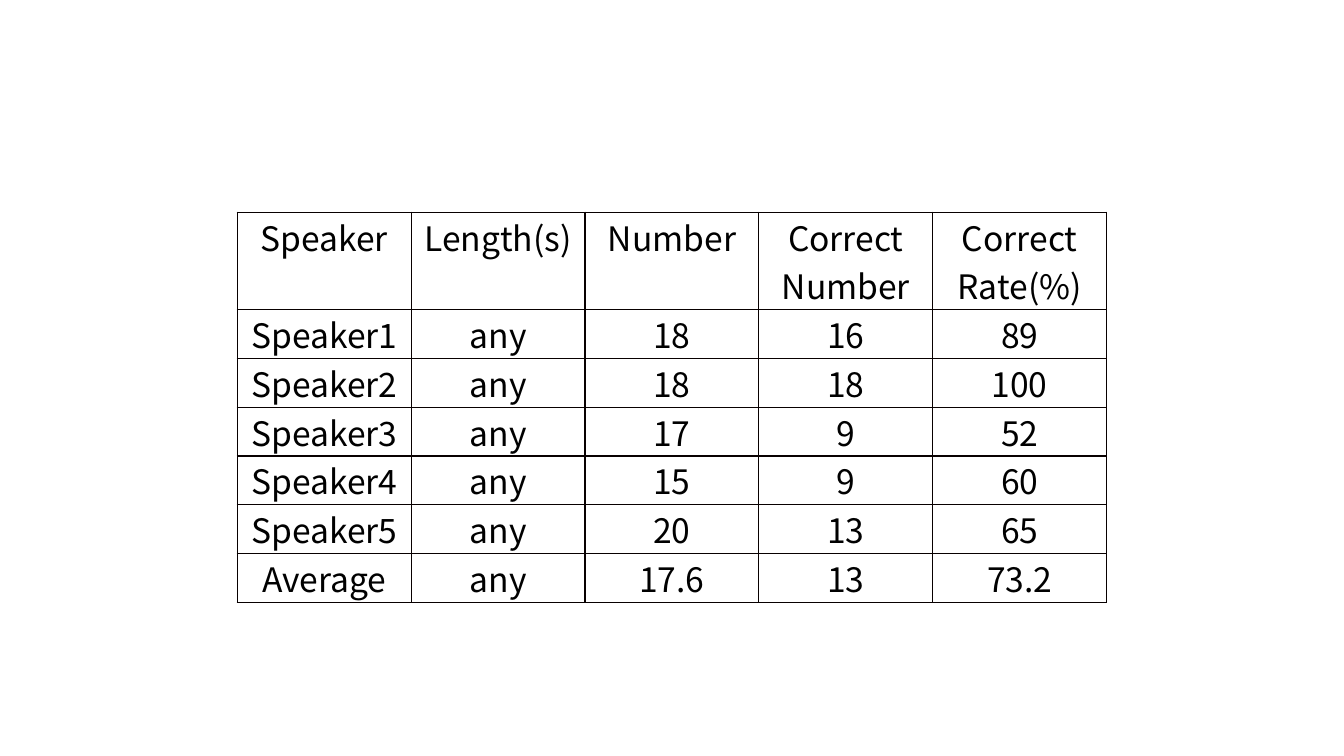
from lxml.etree import SubElement
from pptx import Presentation
from pptx.dml.color import RGBColor
from pptx.enum.text import PP_ALIGN
from pptx.oxml.ns import qn
from pptx.util import Pt

PX = 9525  # 96 px to the inch
COLORS = {"text": "000000", "border": "080000"}
FONT = "Noto Sans CJK SC"
RESULTS = [
    ("Speaker", "Length(s)", "Number", "Correct Number", "Correct\nRate(%)"),
    ("Speaker1", "any", "18", "16", "89"),
    ("Speaker2", "any", "18", "18", "100"),
    ("Speaker3", "any", "17", "9", "52"),
    ("Speaker4", "any", "15", "9", "60"),
    ("Speaker5", "any", "20", "13", "65"),
    ("Average", "any", "17.6", "13", "73.2"),
]


def add_borders(cell):
    properties = cell._tc.get_or_add_tcPr()
    for side in ("lnL", "lnR", "lnT", "lnB"):
        border = SubElement(properties, qn(f"a:{side}"), w=str(Pt(1)))
        fill = SubElement(border, qn("a:solidFill"))
        SubElement(fill, qn("a:srgbClr"), val=COLORS["border"])


def fill_cell(cell, text):
    add_borders(cell)
    cell.fill.background()
    cell.margin_left = cell.margin_right = 7 * PX
    cell.margin_top = cell.margin_bottom = 0
    cell.text_frame.text = text
    for paragraph in cell.text_frame.paragraphs:
        paragraph.alignment = PP_ALIGN.CENTER
        for run in paragraph.runs:
            run.font.name = FONT
            run.font.size = Pt(24)
            run.font.color.rgb = RGBColor.from_string(COLORS["text"])


def add_results_table(slide, left, top, width, height):
    """Equal columns and rows, with a header two rows high."""
    row_count, column_count = len(RESULTS), len(RESULTS[0])
    table = slide.shapes.add_table(
        row_count, column_count, left * PX, top * PX, width * PX, height * PX
    ).table
    table.first_row = table.horz_banding = False
    row_height = height * PX // (row_count + 1)
    for index, row in enumerate(table.rows):
        row.height = row_height * (2 if index == 0 else 1)
        for cell, text in zip(row.cells, RESULTS[index]):
            fill_cell(cell, text)


def main():
    presentation = Presentation()
    presentation.slide_width = 1280 * PX
    presentation.slide_height = 720 * PX
    slide = presentation.slides.add_slide(presentation.slide_layouts[6])
    add_results_table(slide, left=226, top=202, width=828, height=344)
    presentation.save("out.pptx")


if __name__ == "__main__":
    main()
